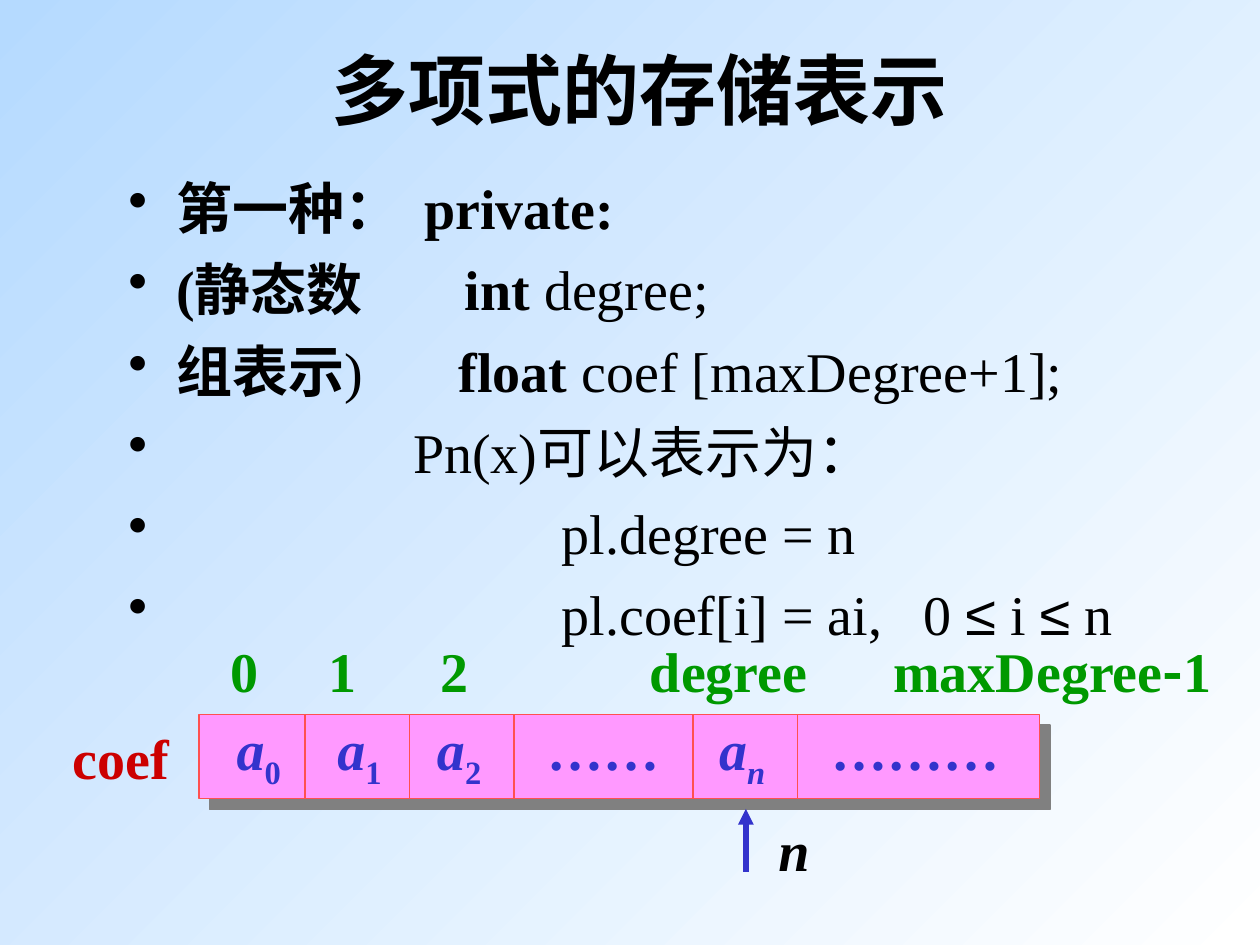
"""Build the slide on how a polynomial is stored in a static array."""
from lxml.etree import SubElement
from pptx import Presentation
from pptx.dml.color import RGBColor
from pptx.enum.shapes import MSO_CONNECTOR, MSO_SHAPE
from pptx.enum.text import MSO_ANCHOR, PP_ALIGN
from pptx.oxml.ns import qn
from pptx.util import Inches, Pt

BLACK = RGBColor(0x00, 0x00, 0x00)
SKY = RGBColor(0xB5, 0xDA, 0xFF)
WHITE = RGBColor(0xFF, 0xFF, 0xFF)
PINK = RGBColor(0xFF, 0x99, 0xFF)
CORAL = RGBColor(0xFF, 0x50, 0x50)
BLUE = RGBColor(0x33, 0x33, 0xCC)
GREEN = RGBColor(0x00, 0x99, 0x00)
RED = RGBColor(0xCC, 0x00, 0x00)

SERIF = "Times New Roman"
BOLD = {"bold": True}
ROMAN = {"italic": False}
SUB = {"sub": True}
ROMAN_SUB = {"italic": False, "sub": True}
SANS = {"name": "Arial"}

ARRAY_LEFT, ARRAY_TOP, ARRAY_WIDTH, ARRAY_HEIGHT = 1.58, 5.67, 6.67, 0.67
DIVIDERS = (2.42, 3.25, 4.08, 5.5, 6.33)

CODE_LINES = [
    ([2.35], [("第一种：\tprivate:", BOLD)]),
    ([2.67], [("(静态数\tint ", BOLD), ("degree;", {})]),
    ([2.62], [("组表示", BOLD), (")\t", {}), ("float", BOLD),
              (" coef [maxDegree+1];", {})]),
    ([2.26], [("\tPn(x)可以表示为：", {})]),
    ([3.44], [("\tpl.degree = n", {})]),
    ([3.44, 6.31], [("\tpl.coef[i] = ai,\t0 ", {}), ("≤", SANS), (" i ", {}),
                    ("≤", SANS), (" n", {})]),
]
INDEX_TABS = [0.78, 1.67, 3.33, 5.26]
INDICES = [("0\t1\t2\tdegree\tmaxDegree", {}),
           ("-", {"name": "Noto Sans CJK SC"}), ("1", {})]
CELL_TABS = [0.8, 1.59, 2.47, 3.83, 4.72]
CELLS = [("a", {}), ("0", ROMAN_SUB), ("\ta", {}), ("1", ROMAN_SUB),
         ("\ta", {}), ("2", ROMAN_SUB), ("\t……\t", ROMAN), ("a", {}),
         ("n", SUB), ("\t………", ROMAN)]


def paint_background(slide):
    fill = slide.background.fill
    fill.gradient()
    fill.gradient_angle = 315
    for stop, color, position in zip(fill.gradient_stops, (SKY, WHITE), (0, 1)):
        stop.color.rgb = color
        stop.position = position


def add_frame(slide, left, top, width, height):
    frame = slide.shapes.add_textbox(
        Inches(left), Inches(top), Inches(width), Inches(height)).text_frame
    frame.word_wrap = True
    return frame


def write(paragraph, pieces, color=BLACK, size=32, bold=False, italic=False,
          tabs=(), bullet=False):
    properties = paragraph._p.get_or_add_pPr()
    if bullet:
        properties.set("marL", str(Inches(0.38)))
        properties.set("indent", str(Inches(-0.38)))
        SubElement(properties, qn("a:buChar"), char="•")
    if tabs:
        stops = SubElement(properties, qn("a:tabLst"))
        for tab in tabs:
            SubElement(stops, qn("a:tab"), pos=str(Inches(tab)), algn="l")
    font = paragraph.font
    font.name, font.size = SERIF, Pt(size)
    font.bold, font.italic = bold, italic
    font.color.rgb = color
    for text, style in pieces:
        run = paragraph.add_run()
        run.text = text
        for attribute, value in style.items():
            if attribute == "sub":
                run._r.get_or_add_rPr().set("baseline", "-25000")
            else:
                setattr(run.font, attribute, value)


def add_label(slide, box, pieces, color, **style):
    write(add_frame(slide, *box).paragraphs[0], pieces, color, bold=True, **style)


def add_title(slide, text):
    frame = add_frame(slide, 1.83, 0.33, 6.5, 0.75)
    frame.vertical_anchor = MSO_ANCHOR.MIDDLE
    heading = frame.paragraphs[0]
    heading.alignment = PP_ALIGN.CENTER
    write(heading, [(text, {})], size=44, bold=True)


def add_code(slide):
    frame = add_frame(slide, 0.92, 1.33, 8.5, 3.92)
    for number, (tabs, pieces) in enumerate(CODE_LINES):
        line = frame.add_paragraph() if number else frame.paragraphs[0]
        write(line, pieces, tabs=tabs, bullet=True)
        if number:
            line.space_before = Pt(8)


def add_array(slide):
    array = slide.shapes.add_shape(
        MSO_SHAPE.RECTANGLE, Inches(ARRAY_LEFT), Inches(ARRAY_TOP),
        Inches(ARRAY_WIDTH), Inches(ARRAY_HEIGHT))
    array.fill.solid()
    array.fill.fore_color.rgb = PINK
    array.line.color.rgb = CORAL
    array.line.width = Pt(0.75)
    array.shadow.inherit = False
    effects = array._element.spPr.find(qn("a:effectLst"))
    shadow = SubElement(effects, qn("a:outerShdw"), dist=str(Pt(8.5)),
                        dir="2700000", algn="ctr", rotWithShape="0")
    SubElement(shadow, qn("a:srgbClr"), val="808080")


def add_line(slide, x, start, end, color, width, arrow=False):
    line = slide.shapes.add_connector(
        MSO_CONNECTOR.STRAIGHT, Inches(x), Inches(start), Inches(x), Inches(end))
    line.line.color.rgb = color
    line.line.width = Pt(width)
    if arrow:
        SubElement(line.line._get_or_add_ln(), qn("a:tailEnd"), type="triangle")
    SubElement(line._element.spPr, qn("a:effectLst"))


def main():
    deck = Presentation()
    deck.slide_width, deck.slide_height = Inches(10), Inches(7.5)
    slide = deck.slides.add_slide(deck.slide_layouts[6])
    paint_background(slide)
    add_title(slide, "多项式的存储表示")
    add_code(slide)
    add_array(slide)
    add_label(slide, (1.78, 5.62, 6.4, 0.71), CELLS, BLUE, italic=True,
              tabs=CELL_TABS)
    for x in DIVIDERS:
        add_line(slide, x, ARRAY_TOP, ARRAY_TOP + ARRAY_HEIGHT, CORAL, 0.75)
    add_label(slide, (1.73, 5, 8.1, 0.64), INDICES, GREEN, tabs=INDEX_TABS)
    add_label(slide, (0.48, 5.69, 1, 0.64), [("coef", {})], RED)
    add_line(slide, 5.92, 6.92, 6.42, BLUE, 3, arrow=True)
    add_label(slide, (6.08, 6.42, 0.5, 0.64), [("n", {})], BLACK, italic=True)
    deck.save("out.pptx")


if __name__ == "__main__":
    main()
